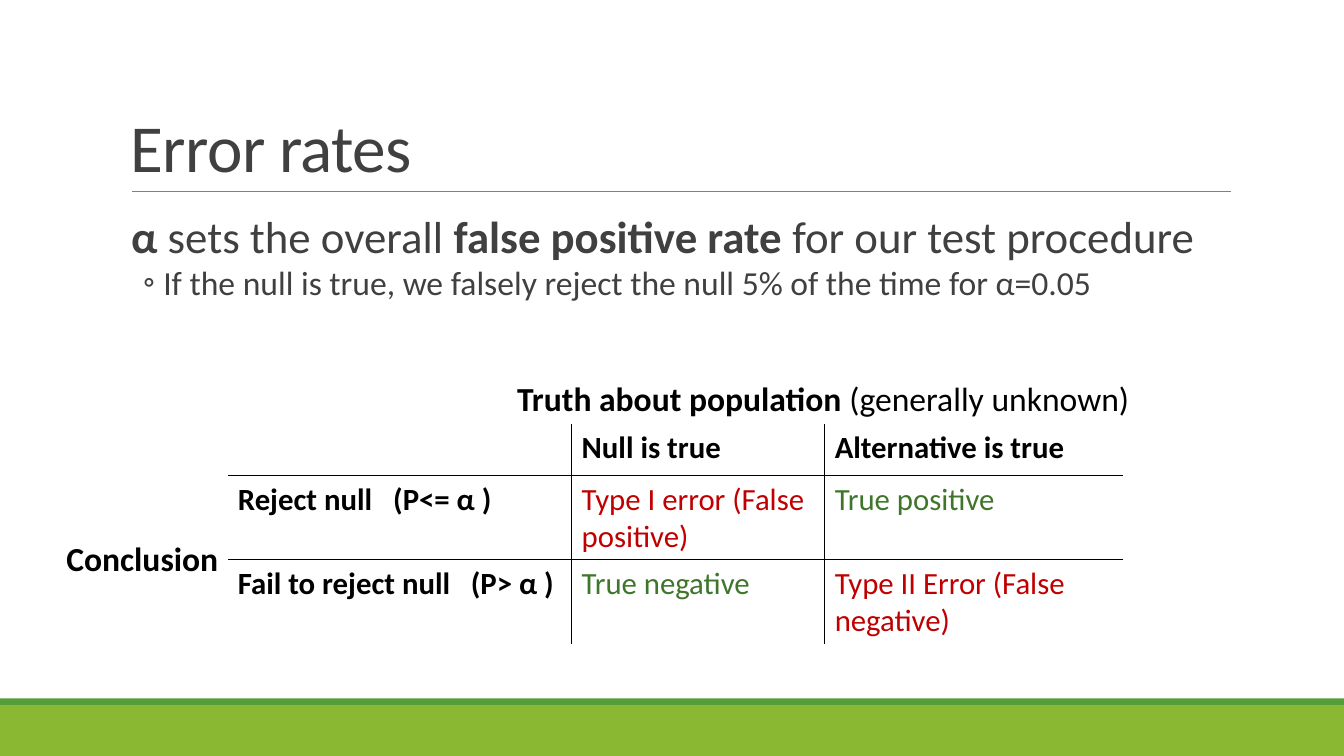
import pptx
import pptx.util
import pptx.dml.color
import pptx.enum.shapes
import pptx.enum.text
import pptx.oxml
import pptx.oxml.ns
from lxml import etree

Inches = pptx.util.Inches
Pt = pptx.util.Pt
RGBColor = pptx.dml.color.RGBColor

BLACK = RGBColor(0x00, 0x00, 0x00)
DARK = RGBColor(0x40, 0x40, 0x40)
GRAY = RGBColor(0x80, 0x80, 0x80)
LIME = RGBColor(0x8A, 0xB8, 0x33)
GREEN = RGBColor(0x54, 0x9E, 0x39)
CORRECT = RGBColor(0x3F, 0x76, 0x2B)
ERROR = RGBColor(0xC0, 0x00, 0x00)


def add_element(parent, tag, **attrs):
    return etree.SubElement(parent, pptx.oxml.ns.qn(tag), attrs)


def add_text(p, text, size=24, color=BLACK, bold=False, spacing=None):
    r = p.add_run()
    r.text = text
    r.font.name = "Calibri"
    r.font.size = Pt(size)
    r.font.bold = bold
    r.font.color.rgb = color
    if spacing is not None:
        r.font._element.set("spc", str(spacing))


class SlideBuilder:
    def __init__(self, prs):
        self.s = prs.slides.add_slide(prs.slide_layouts[6])

    def bar(self, top, height, color):
        sp = self.s.shapes.add_shape(
            pptx.enum.shapes.MSO_SHAPE.RECTANGLE,
            Inches(0), Inches(top), Inches(13.33), Inches(height))
        sp.shadow.inherit = False
        sp.fill.solid()
        sp.fill.fore_color.rgb = color
        sp.line.fill.background()

    def rule(self, left, right, y):
        line = self.s.shapes.add_connector(
            pptx.enum.shapes.MSO_CONNECTOR.STRAIGHT,
            Inches(left), Inches(y), Inches(right), Inches(y))
        line.line.color.rgb = GRAY
        line.line.width = Pt(0.5)
        add_element(line._element.spPr, "a:effectLst")

    def text_box(self, left, top, width, height):
        sp = self.s.shapes.add_textbox(
            Inches(left), Inches(top), Inches(width), Inches(height))
        sp.text_frame.word_wrap = True
        return sp.text_frame

    def indent(self, p, left, hanging=0, bullet=None):
        pPr = p._p.get_or_add_pPr()
        pPr.set("marL", str(Inches(left)))
        pPr.set("indent", str(-Inches(hanging)))
        if bullet:
            add_element(pPr, "a:buFont", typeface="Calibri")
            add_element(pPr, "a:buChar", char=bullet)

    def tab_stop(self, p, position):
        tabs = add_element(p._p.get_or_add_pPr(), "a:tabLst")
        add_element(tabs, "a:tab", pos=str(Inches(position)), algn="l")

    def borders(self, cell, visible):
        tcPr = cell._tc.get_or_add_tcPr()
        for side in "LRTB":
            ln = add_element(tcPr, f"a:ln{side}", w=str(Pt(1)))
            if side in visible:
                fill = add_element(ln, "a:solidFill")
                add_element(fill, "a:srgbClr", val=str(BLACK))
            else:
                add_element(ln, "a:noFill")

    def table(self, left, top, widths, heights, rows):
        last_row, last_col = len(heights) - 1, len(widths) - 1
        table = self.s.shapes.add_table(
            len(heights), len(widths), Inches(left), Inches(top),
            Inches(sum(widths)), Inches(sum(heights))).table
        table.first_row = table.horz_banding = False
        for column, width in zip(table.columns, widths):
            column.width = Inches(width)
        for row, height in zip(table.rows, heights):
            row.height = Inches(height)
        for i, row in enumerate(rows):
            for j, (text, color, tab) in enumerate(row):
                cell = table.cell(i, j)
                inner = {"L": j > 0, "R": j < last_col, "T": i > 0, "B": i < last_row}
                self.borders(cell, [side for side in inner if inner[side]])
                cell.fill.background()
                p = cell.text_frame.paragraphs[0]
                if tab:
                    self.tab_stop(p, tab)
                if text:
                    add_text(p, text, size=22, color=color, bold=color == BLACK)


def main():
    prs = pptx.Presentation()
    prs.slide_width, prs.slide_height = Inches(13.33), Inches(7.5)
    slide = SlideBuilder(prs)

    slide.bar(7, 0.5, LIME)
    slide.bar(6.93, 0.07, GREEN)
    slide.rule(1.31, 12.21, 1.9)

    tf = slide.text_box(1.2, 0.31, 11, 1.59)
    tf.vertical_anchor = pptx.enum.text.MSO_ANCHOR.BOTTOM
    p = tf.paragraphs[0]
    p.line_spacing = 0.85
    add_text(p, "Error rates", size=48, color=DARK, spacing=-50)

    tf = slide.text_box(1.2, 2.02, 11, 4.4)
    tf.margin_left = tf.margin_right = Inches(0)
    p = tf.paragraphs[0]
    slide.indent(p, 0.1)
    for text, bold in (("α", True), (" sets the overall ", False),
                       ("false positive rate ", True),
                       ("for our test procedure", False)):
        add_text(p, text, size=32, color=DARK, bold=bold)
    p = tf.add_paragraph()
    p.level = 1
    slide.indent(p, 0.42, 0.2, "◦")
    add_text(p, "If the null is true, we falsely reject the null 5% of the time for α=0.05",
             color=DARK)

    p = slide.text_box(5.03, 3.7, 8.3, 0.5).paragraphs[0]
    add_text(p, "Truth about population ", bold=True)
    add_text(p, "(generally unknown)")

    p = slide.text_box(0.56, 5.29, 2.34, 0.91).paragraphs[0]
    add_text(p, "Conclusion", bold=True)

    slide.table(2.26, 4.21, [3.41, 2.51, 2.96], [0.51, 0.83, 0.83], [
        [("", BLACK, None), ("Null is true", BLACK, None),
         ("Alternative is true", BLACK, None)],
        [("Reject null\t(P<= α )", BLACK, 1.54),
         ("Type I error (False positive)", ERROR, None),
         ("True positive", CORRECT, None)],
        [("Fail to reject null\t(P> α )", BLACK, 2.31),
         ("True negative", CORRECT, None),
         ("Type II Error (False negative)", ERROR, None)],
    ])

    prs.save("out.pptx")


if __name__ == "__main__":
    main()
